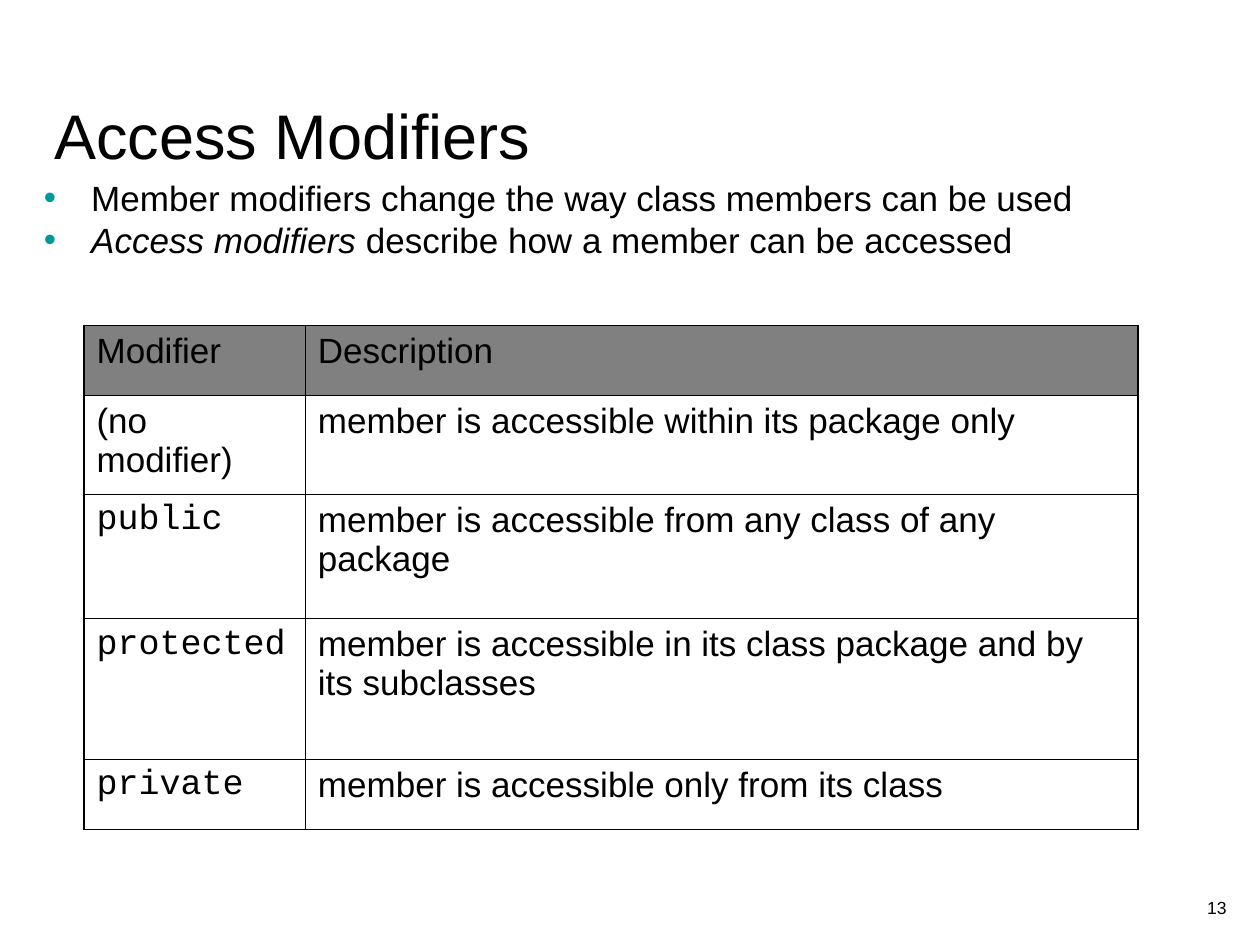
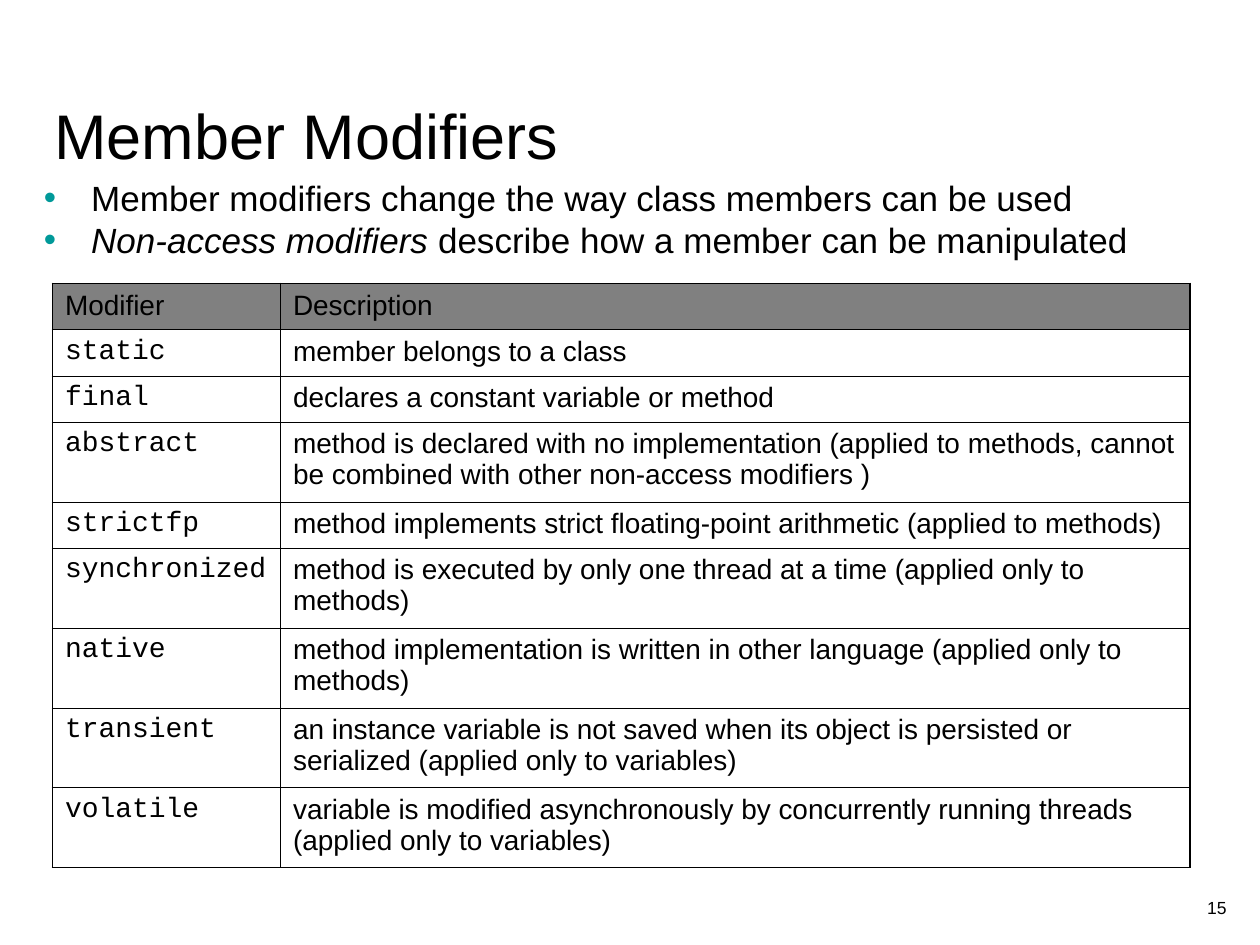
from pptx import Presentation
from pptx.dml.color import RGBColor
from pptx.enum.text import MSO_ANCHOR, PP_ALIGN
from pptx.oxml import parse_xml
from pptx.oxml.ns import nsdecls
from pptx.util import Pt

BOTTOM, TOP = MSO_ANCHOR.BOTTOM, MSO_ANCHOR.TOP
LEFT, RIGHT = PP_ALIGN.LEFT, PP_ALIGN.RIGHT
SANS, MONO = "Arial", "Courier New"
BLACK, TEAL, GREY = "000000", "009999", "808080"
OUTER, INNER = 1.08, 0.45
INDENT = Pt(27)

SLIDES = [
    {
        "title": "Access Modifiers", "number": "13",
        "term": "Access modifiers",
        "meaning": " describe how a member can be accessed",
        "left": 48, "top": 186, "size": 20,
        "widths": [126.5, 476], "heights": [40, 56.5, 71, 80.5, 40],
        "rows": [
            ("(no modifier)", "member is accessible within its package only"),
            ("public", "member is accessible from any class of any package"),
            ("protected", "member is accessible in its class package and by its subclasses"),
            ("private", "member is accessible only from its class"),
        ],
    },
    {
        "title": "Member Modifiers", "number": "15",
        "term": "Non-access modifiers",
        "meaning": " describe how a member can be manipulated",
        "left": 30, "top": 162, "size": 16,
        "widths": [130.3, 519.8],
        "heights": [26.4] * 3 + [45.6, 26.4] + [45.6] * 4,
        "rows": [
            ("static", "member belongs to a class"),
            ("final", "declares a constant variable or method"),
            ("abstract", "method is declared with no implementation (applied to methods, "
                         "cannot be combined with other non-access modifiers )"),
            ("strictfp", "method implements strict floating-point arithmetic (applied to methods)"),
            ("synchronized", "method is executed by only one thread at a time "
                             "(applied only to methods)"),
            ("native", "method implementation is written in other language "
                       "(applied only to methods)"),
            ("transient", "an instance variable is not saved when its object is "
                          "persisted or serialized (applied only to variables)"),
            ("volatile", "variable is modified asynchronously by concurrently "
                         "running threads (applied only to variables)"),
        ],
    },
]


def add_run(p, text, size, name=SANS, italic=False):
    r = p.add_run()
    r.text = text
    for key, value in {"size": Pt(size), "name": name, "italic": italic}.items():
        setattr(r.font, key, value)
    r.font.color.rgb = RGBColor.from_string(BLACK)


def add_box(s, left, top, width, height, anchor=TOP):
    """Add a wrapping text box and return its text frame."""
    tf = s.shapes.add_textbox(Pt(left), Pt(top), Pt(width), Pt(height)).text_frame
    tf.word_wrap = True
    tf.vertical_anchor = anchor
    return tf


prs = Presentation()
prs.slide_width, prs.slide_height = Pt(720), Pt(540)

for data in SLIDES:
    s = prs.slides.add_slide(prs.slide_layouts[6])

    # Slide number and title
    p = add_box(s, 558, 492, 150, 36, BOTTOM).paragraphs[0]
    p.alignment, p.line_spacing = RIGHT, 0.8
    add_run(p, data["number"], 10)
    p = add_box(s, 24, 24, 678, 78, BOTTOM).paragraphs[0]
    p.alignment = LEFT
    add_run(p, data["title"], 36)

    # Bullets
    tf = add_box(s, 18, 102, 666, 54)
    first, second = tf.paragraphs[0], tf.add_paragraph()
    for p in (first, second):
        p.line_spacing = 0.8
        pPr = p._p.get_or_add_pPr()
        pPr.set("marL", str(INDENT))
        pPr.set("indent", str(-INDENT))
        pPr.append(parse_xml(f'<a:buClr {nsdecls("a")}><a:srgbClr val="{TEAL}"/></a:buClr>'))
        pPr.append(parse_xml(f'<a:buFont {nsdecls("a")} typeface="{SANS}"/>'))
        pPr.append(parse_xml(f'<a:buChar {nsdecls("a")} char="•"/>'))
    second.space_before = Pt(5)
    add_run(first, "Member modifiers change the way class members can be used", 20)
    add_run(second, data["term"], 20, italic=True)
    add_run(second, data["meaning"], 20)

    # Modifier table
    rows = [("Modifier", "Description")] + data["rows"]
    widths, heights = data["widths"], data["heights"]
    tbl = s.shapes.add_table(len(rows), 2, Pt(data["left"]), Pt(data["top"]),
                             Pt(sum(widths)), Pt(sum(heights))).table
    tbl.first_row = tbl.horz_banding = False
    for column, width in zip(tbl.columns, widths):
        column.width = Pt(width)
    for i, (row, height) in enumerate(zip(rows, heights)):
        tbl.rows[i].height = Pt(height)
        for j, text in enumerate(row):
            cell = tbl.cell(i, j)
            is_keyword = i > 0 and j == 0 and text.isalpha()
            add_run(cell.text_frame.paragraphs[0], text, data["size"],
                    MONO if is_keyword else SANS)
            edges = {"L": j == 0, "R": j == 1, "T": i == 0, "B": i == len(rows) - 1}
            for side, is_outer in edges.items():
                weight = Pt(OUTER if is_outer else INNER)
                cell._tc.get_or_add_tcPr().append(parse_xml(
                    f'<a:ln{side} {nsdecls("a")} w="{weight}"><a:solidFill>'
                    f'<a:srgbClr val="{BLACK}"/></a:solidFill></a:ln{side}>'))
            if i == 0:
                cell.fill.solid()
                cell.fill.fore_color.rgb = RGBColor.from_string(GREY)
            else:
                cell.fill.background()

prs.save("out.pptx")
